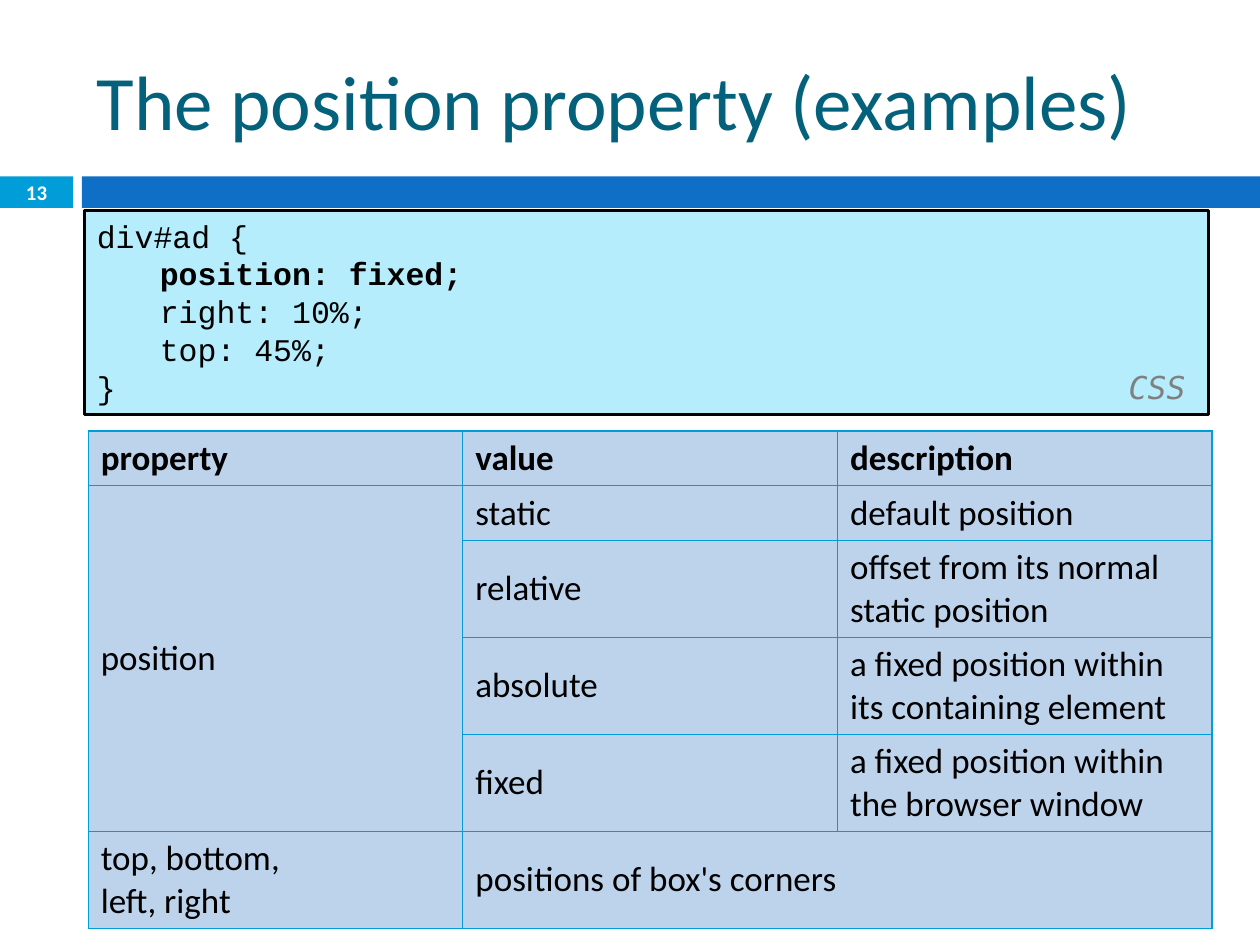
from lxml.etree import SubElement
from pptx import Presentation
from pptx.dml.color import RGBColor
from pptx.enum.shapes import MSO_SHAPE as Shape
from pptx.enum.text import MSO_ANCHOR as Anchor, PP_ALIGN as Align
from pptx.oxml.ns import qn
from pptx.util import Inches, Pt

COLORS = {
    "title": "04617B", "cyan": "009DD9", "blue": "0F6FC6", "code": "B5EDFD",
    "cell": "BDD3EC", "black": "000000", "white": "FFFFFF", "gray": "808080",
}


def style(font, size, color, name="Calibri", bold=False):
    font.size, font.name, font.bold = Pt(size), name, bold
    font.color.rgb = RGBColor.from_string(COLORS[color])


def add_box(left, top, width, height, fill):
    box = slide.shapes.add_shape(
        Shape.RECTANGLE, Inches(left), Inches(top), Inches(width), Inches(height))
    box.shadow.inherit = False
    box.fill.solid()
    box.fill.fore_color.rgb = RGBColor.from_string(COLORS[fill])
    box.line.fill.background()
    return box


prs = Presentation()
prs.slide_width, prs.slide_height = Inches(10), Inches(7.5)
slide = prs.slides.add_slide(prs.slide_layouts[6])

# Title
title = slide.shapes.add_textbox(
    Inches(0.67), Inches(0.25), Inches(8.92), Inches(1.08)).text_frame
title.word_wrap = True
title.vertical_anchor = Anchor.MIDDLE
title.text = "The position property (examples)"
style(title.paragraphs[0].font, 44, "title")

# Band with the page number
add_box(0.65, 1.4, 9.35, 0.25, "blue")
page = add_box(0, 1.4, 0.58, 0.25, "cyan").text_frame
page.margin_top = page.margin_bottom = 0
page.vertical_anchor = Anchor.MIDDLE
page.text = "13"
page.paragraphs[0].alignment = Align.CENTER
style(page.paragraphs[0].font, 11.9, "white", bold=True)

# CSS code
code_box = add_box(0.67, 1.67, 8.92, 1.62, "code")
code_box.line.color.rgb = RGBColor.from_string(COLORS["black"])
code_box.line.width = Pt(1.5)
code = code_box.text_frame
code.word_wrap = True
code.vertical_anchor = Anchor.TOP
code.text = "div#ad {\n\tposition: fixed;\n\tright: 10%;\n\ttop: 45%;\n}\t"
for line in code.paragraphs:
    line.alignment = Align.LEFT
    style(line.font, 18, "black", "Courier New", bold="position" in line.text)

# Language label, set against a right tab on the last line
closing = code.paragraphs[-1]
label = closing.add_run()
label.text = "CSS"
style(label.font, 18, "gray", "DejaVu Sans Mono")
label.font.italic = True
tabs = closing._p.get_or_add_pPr().makeelement(qn("a:tabLst"))
SubElement(tabs, qn("a:tab"), pos=str(Inches(8.64)), algn="r")
closing._p.pPr.insert(0, tabs)

# Property table; None marks a cell covered by a merge
rows = [
    ("property", "value", "description"),
    ("position", "static", "default position"),
    (None, "relative", "offset from its normal static position"),
    (None, "absolute", "a fixed position within its containing element"),
    (None, "fixed", "a fixed position within the browser window"),
    ("top, bottom,\vleft, right", "positions of box's corners", None),
]
properties = slide.shapes.add_table(
    len(rows), 3, Inches(0.7), Inches(3.42), Inches(8.92), Inches(3.94)).table
properties.horz_banding = False
for r, row in enumerate(rows):
    properties.rows[r].height = Inches(0.43 if r < 2 else 0.77)
    for c, text in enumerate(row):
        cell = properties.cell(r, c)
        cell.vertical_anchor = Anchor.MIDDLE
        for side in ("lnL", "lnR", "lnT", "lnB"):
            border = SubElement(
                cell._tc.get_or_add_tcPr(), qn(f"a:{side}"), w=str(Pt(0.79)))
            SubElement(SubElement(border, qn("a:solidFill")),
                       qn("a:srgbClr"), val=COLORS["cyan"])
        cell.fill.solid()
        cell.fill.fore_color.rgb = RGBColor.from_string(COLORS["cell"])
        if text:
            cell.text = text
            style(cell.text_frame.paragraphs[0].font, 20, "black", bold=r == 0)
properties.cell(1, 0).merge(properties.cell(4, 0))
properties.cell(5, 1).merge(properties.cell(5, 2))

prs.save("out.pptx")
